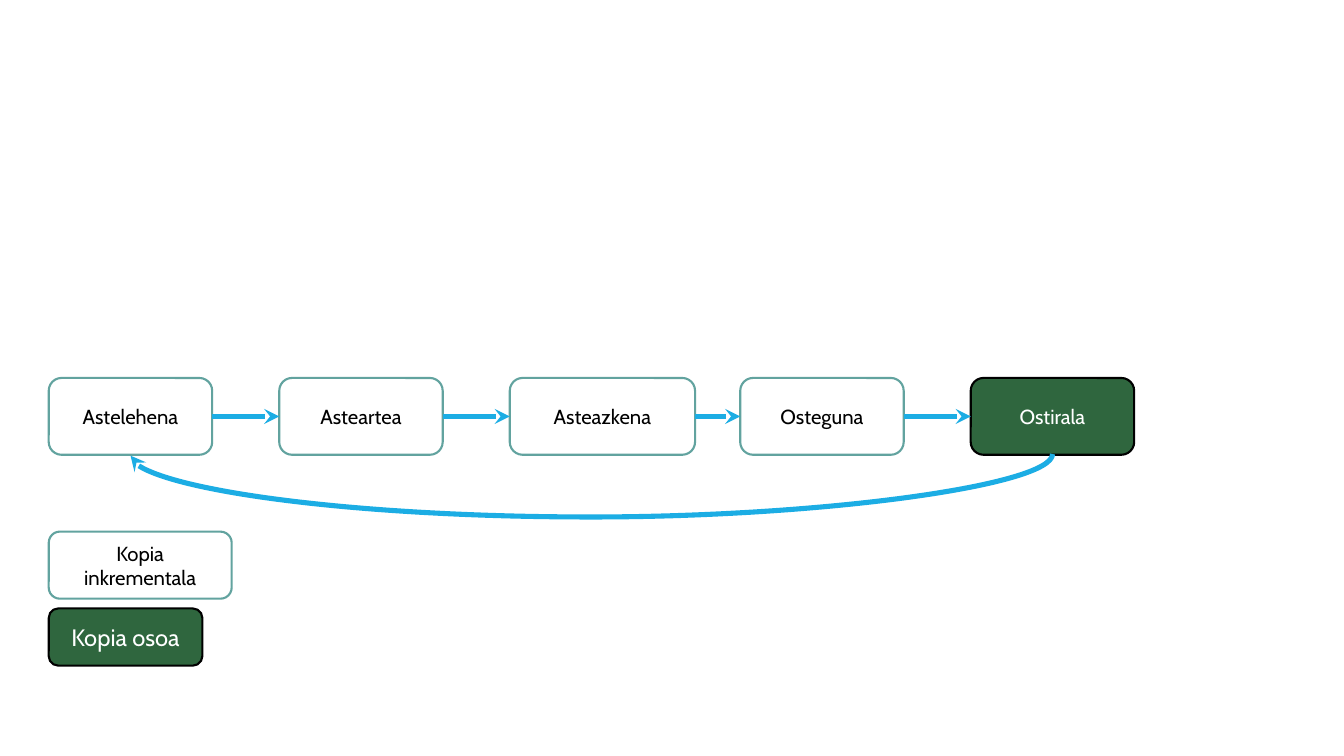
import pptx
import pptx.dml.color
import pptx.enum.shapes
import pptx.enum.text
import pptx.oxml.ns
import pptx.util
from lxml import etree

Pt = pptx.util.Pt
RGBColor = pptx.dml.color.RGBColor
CONNECTOR = pptx.enum.shapes.MSO_CONNECTOR

WHITE = RGBColor(0xFF, 0xFF, 0xFF)
BLACK = RGBColor(0x00, 0x00, 0x00)
TEAL = RGBColor(0x62, 0xA3, 0x9F)
GREEN = RGBColor(0x2F, 0x66, 0x3E)
BLUE = RGBColor(0x1C, 0xAD, 0xE4)

presentation = pptx.Presentation()
presentation.slide_width = Pt(793.44)
presentation.slide_height = Pt(446.4)
slide = presentation.slides.add_slide(presentation.slide_layouts[6])


def add_box(text, left, top, width, height, full=False, size=12):
    """Rounded box: green for a full backup, white for an incremental one."""
    shape = slide.shapes.add_shape(
        pptx.enum.shapes.MSO_SHAPE.FLOWCHART_ALTERNATE_PROCESS,
        Pt(left), Pt(top), Pt(width), Pt(height))
    shape.shadow.inherit = False
    shape.fill.solid()
    shape.fill.fore_color.rgb = GREEN if full else WHITE
    shape.line.color.rgb = BLACK if full else TEAL
    shape.line.width = Pt(1.25)
    shape.text_frame.word_wrap = True
    shape.text_frame.vertical_anchor = pptx.enum.text.MSO_ANCHOR.MIDDLE
    paragraph = shape.text_frame.paragraphs[0]
    paragraph.alignment = pptx.enum.text.PP_ALIGN.CENTER
    run = paragraph.add_run()
    run.text = text
    run.font.name = "Cabin"
    run.font.size = Pt(size)
    run.font.color.rgb = WHITE if full else BLACK
    return shape


def add_arrow(kind, start, start_site, end, end_site):
    """Blue arrow that joins two boxes."""
    connector = slide.shapes.add_connector(kind, 0, 0, 0, 0)
    connector.begin_connect(start, start_site)
    connector.end_connect(end, end_site)
    connector.line.color.rgb = BLUE
    connector.line.width = Pt(3)
    line = connector.line._get_or_add_ln()
    etree.SubElement(line, pptx.oxml.ns.qn("a:tailEnd"), type="stealth")
    etree.SubElement(connector._element.spPr, pptx.oxml.ns.qn("a:effectLst"))
    return connector


# Days of the week
LEFT, TOP, STEP, HEIGHT = 28.8, 223.2, 136.08, 45.36
DAY_WIDTH = 96.5
days = [("Astelehena", DAY_WIDTH), ("Asteartea", DAY_WIDTH),
        ("Asteazkena", 109.4), ("Osteguna", DAY_WIDTH), ("Ostirala", DAY_WIDTH)]
boxes = [add_box(day, LEFT + STEP * index, TOP, width, HEIGHT, full=day == "Ostirala")
         for index, (day, width) in enumerate(days)]

# Arrows from each day to the next
for box, next_box in zip(boxes, boxes[1:]):
    add_arrow(CONNECTOR.STRAIGHT, box, 3, next_box, 1)

# Return arrow from Friday to Monday: a quarter turn makes it bend downwards
loop = add_arrow(CONNECTOR.CURVE, boxes[-1], 2, boxes[0], 2)
span, thickness, depth = STEP * 4, 1, 37.5
loop.left = Pt(LEFT + DAY_WIDTH / 2 + span / 2 - thickness / 2)
loop.top = Pt(TOP + HEIGHT - span / 2)
loop.width, loop.height = Pt(thickness), Pt(span)
transform = loop._element.spPr.find(pptx.oxml.ns.qn("a:xfrm"))
transform.attrib.pop("flipH", None)
transform.attrib.pop("flipV", None)
transform.set("rot", str(90 * 60000))
geometry = loop._element.spPr.find(pptx.oxml.ns.qn("a:prstGeom"))
adjustments = geometry.find(pptx.oxml.ns.qn("a:avLst"))
etree.SubElement(adjustments, pptx.oxml.ns.qn("a:gd"), name="adj1",
                 fmla=f"val {int(depth / thickness * 100000)}")

# Legend
add_box("Kopia inkrementala", LEFT, 313.9, 108, 39.6)
add_box("Kopia osoa", LEFT, 359.3, 90.7, 33.8, full=True, size=14)

presentation.save("out.pptx")
